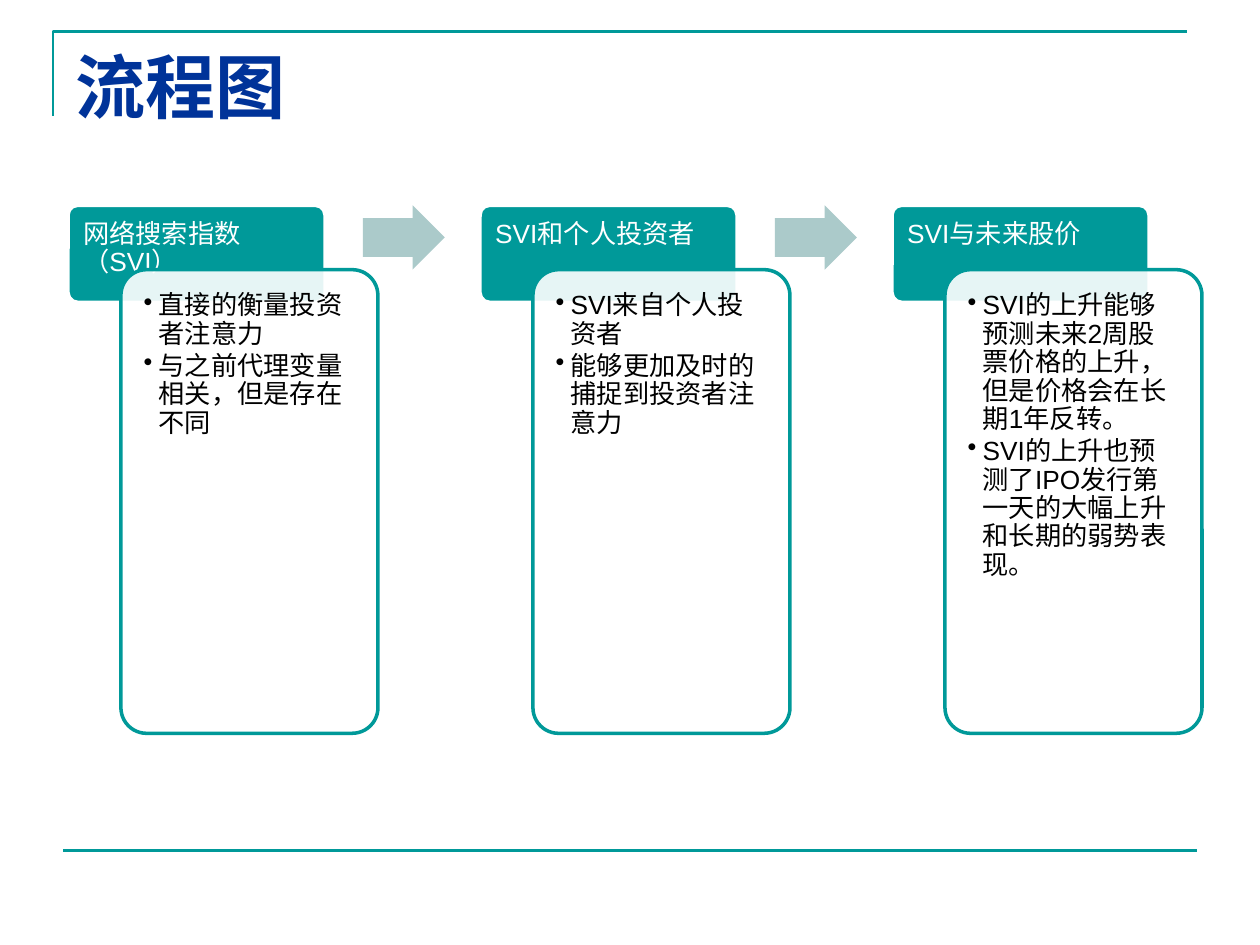
from lxml import etree
from pptx import Presentation
from pptx.dml.color import RGBColor
from pptx.enum.shapes import MSO_CONNECTOR, MSO_SHAPE
from pptx.enum.text import MSO_ANCHOR, PP_ALIGN
from pptx.oxml.ns import qn
from pptx.util import Inches, Pt

ROUNDED = MSO_SHAPE.ROUNDED_RECTANGLE
ARROW = MSO_SHAPE.RIGHT_ARROW
STRAIGHT = MSO_CONNECTOR.STRAIGHT
TOP = MSO_ANCHOR.TOP
LEFT = PP_ALIGN.LEFT

TEAL = RGBColor(0x00, 0x99, 0x99)
PALE_TEAL = RGBColor(0xAB, 0xCA, 0xCA)
NAVY = RGBColor(0x00, 0x33, 0x99)
WHITE = RGBColor(0xFF, 0xFF, 0xFF)
BLACK = RGBColor(0x00, 0x00, 0x00)

FIRST_LEFT = 0.54
STEP = 3.27
STEPS = [
    ("网络搜索指数（SVI）",
     ["直接的衡量投资者注意力", "与之前代理变量相关，但是存在不同"]),
    ("SVI和个人投资者",
     ["SVI来自个人投资者", "能够更加及时的捕捉到投资者注意力"]),
    ("SVI与未来股价",
     ["SVI的上升能够预测未来2周股票价格的上升，但是价格会在长期1年反转。",
      "SVI的上升也预测了IPO发行第一天的大幅上升和长期的弱势表现。"]),
]


def add_frame(s):
    builder = s.shapes.build_freeform(Inches(0.42), Inches(0.92))
    builder.add_line_segments(
        [(Inches(0.42), Inches(0.25)), (Inches(9.42), Inches(0.25))], close=False)
    corner = builder.convert_to_shape()
    corner.shadow.inherit = False
    corner.fill.background()
    rule = s.shapes.add_connector(
        STRAIGHT, Inches(0.5), Inches(6.75), Inches(9.5), Inches(6.75))
    etree.SubElement(rule._element.spPr, qn("a:effectLst"))
    for item in (corner, rule):
        item.line.color.rgb = TEAL
        item.line.width = Pt(1.5)


def add_title(s, text):
    tf = s.shapes.add_textbox(Inches(0.5), Inches(0.3), Inches(9), Inches(1.25)).text_frame
    tf.word_wrap = True
    tf.text = text
    font = tf.paragraphs[0].runs[0].font
    font.name, font.size, font.bold = "Times New Roman", Pt(40), True
    font.color.rgb = NAVY


def add_block(s, kind, left, top, width, height, fill, line=None):
    sp = s.shapes.add_shape(kind, Inches(left), Inches(top), Inches(width), Inches(height))
    sp.shadow.inherit = False
    sp.fill.solid()
    sp.fill.fore_color.rgb = fill
    if line is None:
        sp.line.fill.background()
    else:
        sp.line.color.rgb = line
        sp.line.width = Pt(2)
    return sp


def fill_text(sp, lines, color, inset, after):
    tf = sp.text_frame
    tf.word_wrap = True
    tf.vertical_anchor = TOP
    tf.margin_left = tf.margin_top = tf.margin_right = tf.margin_bottom = Inches(inset)
    tf.text = "\n".join(lines)
    for p in tf.paragraphs:
        p.alignment = LEFT
        p.line_spacing = 0.9
        p.space_after = Pt(after)
        font = p.runs[0].font
        font.name, font.size = "Arial", Pt(15)
        font.color.rgb = color


def add_bullet(p):
    pPr = p._p.get_or_add_pPr()
    pPr.set("marL", str(Inches(0.12)))
    pPr.set("indent", str(-Inches(0.12)))
    etree.SubElement(pPr, qn("a:buChar"), char="•")


def add_step(s, left, heading, points):
    header = add_block(s, ROUNDED, left, 1.63, 2.04, 0.77, TEAL, WHITE)
    header.adjustments[0] = 0.1
    fill_text(header, [heading], WHITE, 0.1, 5.25)

    card = add_block(s, ROUNDED, left + 0.42, 2.14, 2.04, 3.68, WHITE, TEAL)
    card.adjustments[0] = 0.1
    color = card.fill._xPr.find(qn("a:solidFill"))[0]
    etree.SubElement(color, qn("a:alpha"), val="90000")
    fill_text(card, points, BLACK, 0.12, 2.25)
    for p in card.text_frame.paragraphs:
        add_bullet(p)


def add_arrow(s, left):
    arrow = add_block(s, ARROW, left, 1.63, 0.65, 0.51, PALE_TEAL)
    arrow.adjustments[0] = 0.6
    arrow.adjustments[1] = 0.5


def main():
    prs = Presentation()
    prs.slide_width, prs.slide_height = Inches(10), Inches(7.5)
    s = prs.slides.add_slide(prs.slide_layouts[6])
    add_frame(s)
    add_title(s, "流程图")
    for i, (heading, points) in enumerate(STEPS):
        left = FIRST_LEFT + i * STEP
        add_step(s, left, heading, points)
        if i < len(STEPS) - 1:
            add_arrow(s, left + 2.34)
    prs.save("out.pptx")


if __name__ == "__main__":
    main()
